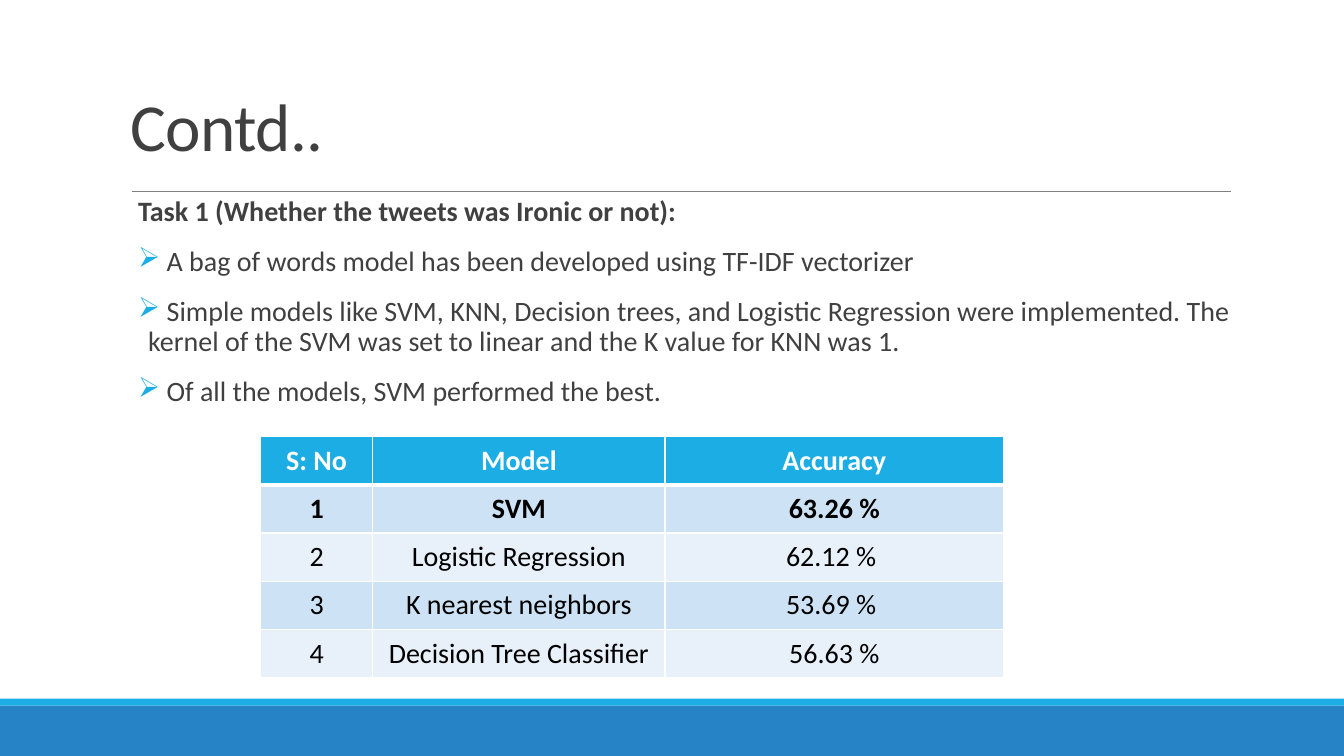
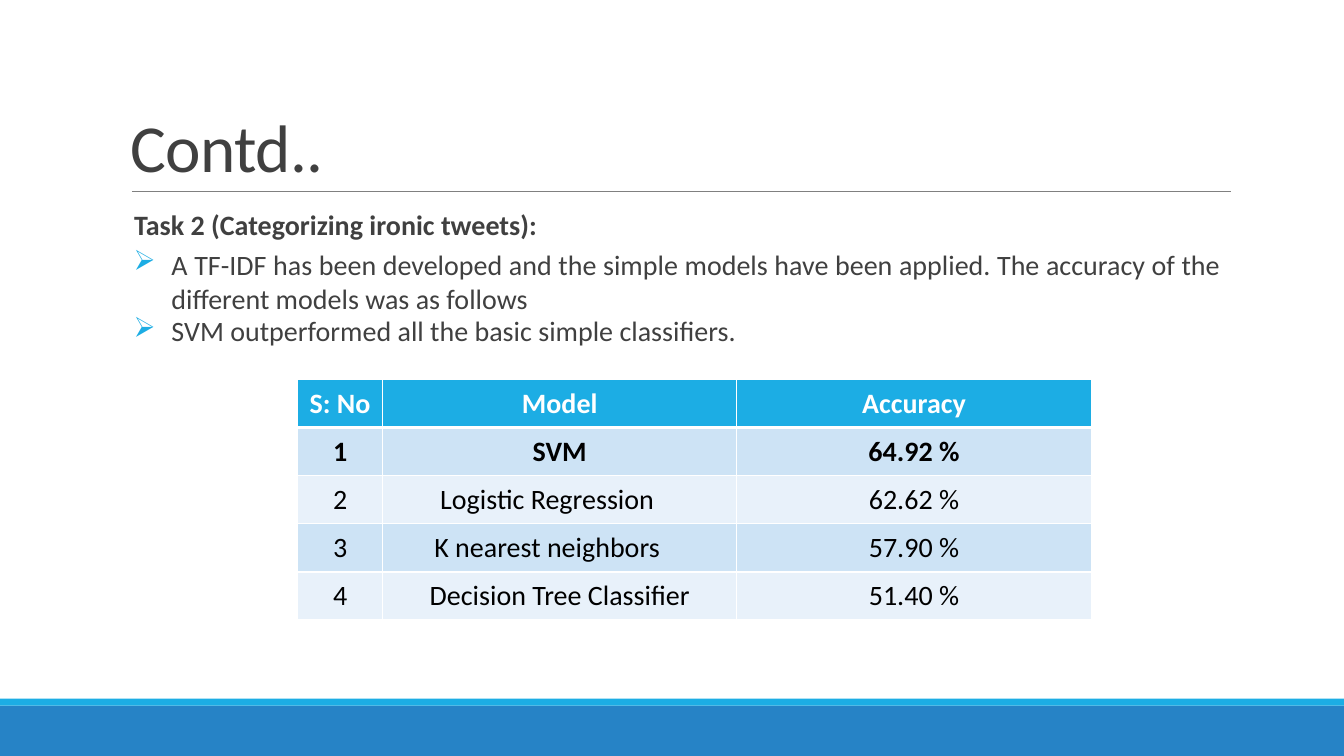
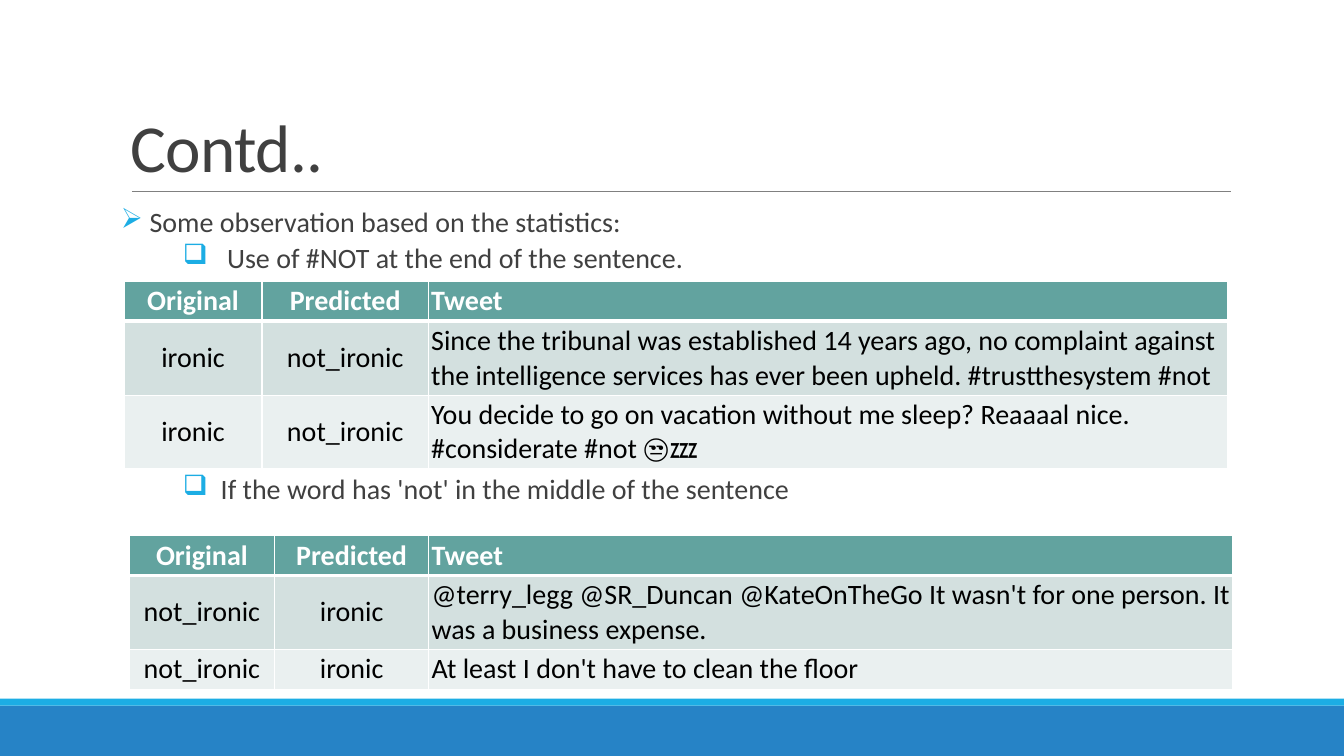
"""Build three result slides on irony detection in tweets."""
from lxml.etree import SubElement
from pptx import Presentation
from pptx.dml.color import RGBColor
from pptx.enum.shapes import MSO_CONNECTOR, MSO_SHAPE
from pptx.enum.text import MSO_ANCHOR as ANCHOR, PP_ALIGN as ALIGN
from pptx.oxml.ns import qn
from pptx.util import Pt

FONT = "Calibri"
WIDTH, HEIGHT = 960, 540
COLOURS = {
    "band": "2683C6", "accent": "1CADE4", "rule": "808080", "text": "404040",
    "black": "000000", "white": "FFFFFF",
    "blue_dark": "CDE3F5", "blue_light": "E8F1FA",
    "teal": "62A39F", "teal_dark": "D3E0DF", "teal_light": "EAF0F0",
}

HEADING = dict(bold=True, line=0.9, before=12, after=2)
ARROW = dict(bullet="➢", indent=7.2, hang=7.2, line=0.9, before=12, after=2)
TASK_HEADING = dict(bold=True, indent=15.8, line=0.9, before=2, after=4)
WIDE_ARROW = dict(bullet="➢", indent=42.5, hang=27)
LAST_ARROW = dict(WIDE_ARROW, line=0.9, before=2, after=4)
BOX = dict(bullet="❑", indent=71.3, hang=27, line=0.9, before=2, after=4)

SCORES = dict(fills=("accent", "blue_dark", "blue_light"), inset=5,
              centred=3, bold_rows=2, anchors=(ANCHOR.TOP, ANCHOR.TOP))
TWEETS = dict(fills=("teal", "teal_dark", "teal_light"), inset=2,
              centred=2, bold_rows=1, anchors=(ANCHOR.MIDDLE, ANCHOR.BOTTOM))
SCORE_HEADER = ("S: No", "Model", "Accuracy")
TWEET_HEADER = ("Original", "Predicted", "Tweet")
SCORE_ROWS = [34.4] * 5

SLIDES = [
    dict(
        title_bottom=121.7,
        bodies=[((98.6, 137.5, 780, 170), [
            ("Task 1 (Whether the tweets was Ironic or not):", HEADING),
            (" A bag of words model has been developed using TF-IDF vectorizer", ARROW),
            (" Simple models like SVM, KNN, Decision trees, and Logistic Regression "
             "were implemented. The kernel of the SVM was set to linear and the "
             "K value for KNN was 1.", ARROW),
            (" Of all the models, SVM performed the best.", ARROW),
        ])],
        tables=[dict(
            SCORES, at=(186, 312), columns=(80.3, 208.7, 242), heights=SCORE_ROWS,
            rows=[SCORE_HEADER,
                  ("1", "SVM", "63.26 %"),
                  ("2", "Logistic Regression", "62.12 %"),
                  ("3", "K nearest neighbors", "53.69 %"),
                  ("4", "Decision Tree Classifier", "56.63 %")],
            pulled_left={(2, 2): 4.5, (3, 2): 4.5})],
    ),
    dict(
        title_bottom=136.8,
        bodies=[((80, 147.6, 792, 120), [
            ("Task 2 (Categorizing ironic tweets):", TASK_HEADING),
            ("A TF-IDF has been developed and the simple models have been applied. "
             "The accuracy of the different models was as follows",
             dict(WIDE_ARROW, align=ALIGN.JUSTIFY)),
            ("SVM outperformed all the basic simple classifiers.", LAST_ARROW),
        ])],
        tables=[dict(
            SCORES, at=(212.5, 271), columns=(61, 252.7, 253.5), heights=SCORE_ROWS,
            rows=[SCORE_HEADER,
                  ("1", "SVM", "64.92 %"),
                  ("2", "Logistic Regression", "62.62 %"),
                  ("3", "K nearest neighbors", "57.90 %"),
                  ("4", "Decision Tree Classifier", "51.40 %")],
            pulled_left={(2, 1): 18, (3, 1): 18})],
    ),
    dict(
        title_bottom=136.8,
        bodies=[
            ((86.4, 145.4, 792, 56), [
                (" Some observation based on the statistics:", ARROW),
                (" Use of #NOT at the end of the sentence.", BOX),
            ]),
            ((86.4, 336, 792, 32), [
                ("If the word has 'not' in the middle of the sentence", BOX),
            ]),
        ],
        tables=[
            dict(TWEETS, at=(88.6, 201), columns=(98.6, 118.8, 571),
                 heights=(28.5, 52.8, 52.8),
                 rows=[TWEET_HEADER,
                       ("ironic", "not_ironic",
                        "Since the tribunal was established 14 years ago, no complaint "
                        "against the intelligence services has ever been upheld. "
                        "#trustthesystem #not"),
                       ("ironic", "not_ironic",
                        "You decide to go on vacation without me sleep? Reaaaal nice. "
                        "#considerate #not 😒💤")]),
            dict(TWEETS, at=(92.4, 382.5), columns=(103.7, 110.2, 574.5),
                 heights=(28.5, 52.8, 28.5),
                 rows=[TWEET_HEADER,
                       ("not_ironic", "ironic",
                        "@terry_legg @SR_Duncan @KateOnTheGo It wasn't for one person. "
                        "It was a business expense."),
                       ("not_ironic", "ironic",
                        "At least I don't have to clean the floor")]),
        ],
    ),
]


def rgb(name):
    return RGBColor.from_string(COLOURS[name])


def write(paragraph, text, size=20, colour="text", bold=False, align=ALIGN.LEFT,
          line=1.0, before=0, after=0, indent=0, hang=0, bullet=None, tracking=0):
    run = paragraph.add_run()
    run.text = text
    run.font.name, run.font.size, run.font.bold = FONT, Pt(size), bold
    run.font.color.rgb = rgb(colour)
    if tracking:
        run.font._element.set("spc", str(round(tracking * 100)))
    paragraph.alignment, paragraph.line_spacing = align, line
    paragraph.space_before, paragraph.space_after = Pt(before), Pt(after)
    properties = paragraph._p.get_or_add_pPr()
    properties.set("marL", str(Pt(indent)))
    properties.set("indent", str(Pt(-hang)))
    if bullet:
        tint = SubElement(properties, qn("a:buClr"))
        SubElement(tint, qn("a:srgbClr"), val=COLOURS["accent"])
        SubElement(properties, qn("a:buChar"), char=bullet)


def add_text(slide, at, paragraphs, side=0, anchor=ANCHOR.TOP):
    frame = slide.shapes.add_textbox(*map(Pt, at)).text_frame
    frame.word_wrap, frame.vertical_anchor = True, anchor
    frame.margin_left = frame.margin_right = Pt(side)
    frame.margin_top = frame.margin_bottom = Pt(3.6)
    for i, (text, style) in enumerate(paragraphs):
        write(frame.add_paragraph() if i else frame.paragraphs[0], text, **style)


def add_frame(slide, title_bottom):
    for top, height, colour in ((504, 36, "band"), (499, 5, "accent")):
        band = slide.shapes.add_shape(
            MSO_SHAPE.RECTANGLE, 0, Pt(top), Pt(WIDTH), Pt(height))
        band.shadow.inherit = False
        band.fill.solid()
        band.fill.fore_color.rgb = rgb(colour)
        band.line.fill.background()
    rule = slide.shapes.add_connector(
        MSO_CONNECTOR.STRAIGHT, Pt(94.3), Pt(136.8), Pt(879), Pt(136.8))
    rule.line.color.rgb, rule.line.width = rgb("rule"), Pt(0.5)
    SubElement(rule._element.spPr, qn("a:effectLst"))
    title = dict(size=48, line=0.85, tracking=-0.5)
    add_text(slide, (86.4, 22.3, 792, title_bottom - 22.3), [("Contd..", title)],
             side=7.2, anchor=ANCHOR.BOTTOM)


def add_borders(cell, row):
    widths = {"lnL": 1, "lnR": 1, "lnT": 3 if row == 1 else 1,
              "lnB": 3 if row == 0 else 1}
    for side, width in widths.items():
        border = SubElement(cell._tc.get_or_add_tcPr(), qn(f"a:{side}"),
                            w=str(Pt(width)))
        fill = SubElement(border, qn("a:solidFill"))
        SubElement(fill, qn("a:srgbClr"), val=COLOURS["white"])


def add_grid(slide, at, columns, heights, rows, fills, inset, centred, bold_rows,
             anchors, pulled_left=None):
    size = sum(columns), sum(heights)
    table = slide.shapes.add_table(
        len(rows), len(columns), *map(Pt, at + size)).table
    for column, width in zip(table.columns, columns):
        column.width = Pt(width)
    for r, texts in enumerate(rows):
        table.rows[r].height = Pt(heights[r])
        for c, text in enumerate(texts):
            cell = table.cell(r, c)
            add_borders(cell, r)
            cell.fill.solid()
            cell.fill.fore_color.rgb = rgb(fills[0 if r == 0 else 2 - r % 2])
            cell.margin_left = cell.margin_top = cell.margin_bottom = Pt(inset)
            cell.margin_right = Pt(inset + (pulled_left or {}).get((r, c), 0))
            cell.vertical_anchor = anchors[0 if r and c < centred else 1]
            write(cell.text_frame.paragraphs[0], text, bold=r < bold_rows,
                  colour="black" if r else "white",
                  align=ALIGN.CENTER if c < centred else ALIGN.LEFT)


def main():
    deck = Presentation()
    deck.slide_width, deck.slide_height = Pt(WIDTH), Pt(HEIGHT)
    for content in SLIDES:
        slide = deck.slides.add_slide(deck.slide_layouts[6])
        add_frame(slide, content["title_bottom"])
        for at, paragraphs in content["bodies"]:
            add_text(slide, at, paragraphs)
        for grid in content["tables"]:
            add_grid(slide, **grid)
    deck.save("out.pptx")


if __name__ == "__main__":
    main()
